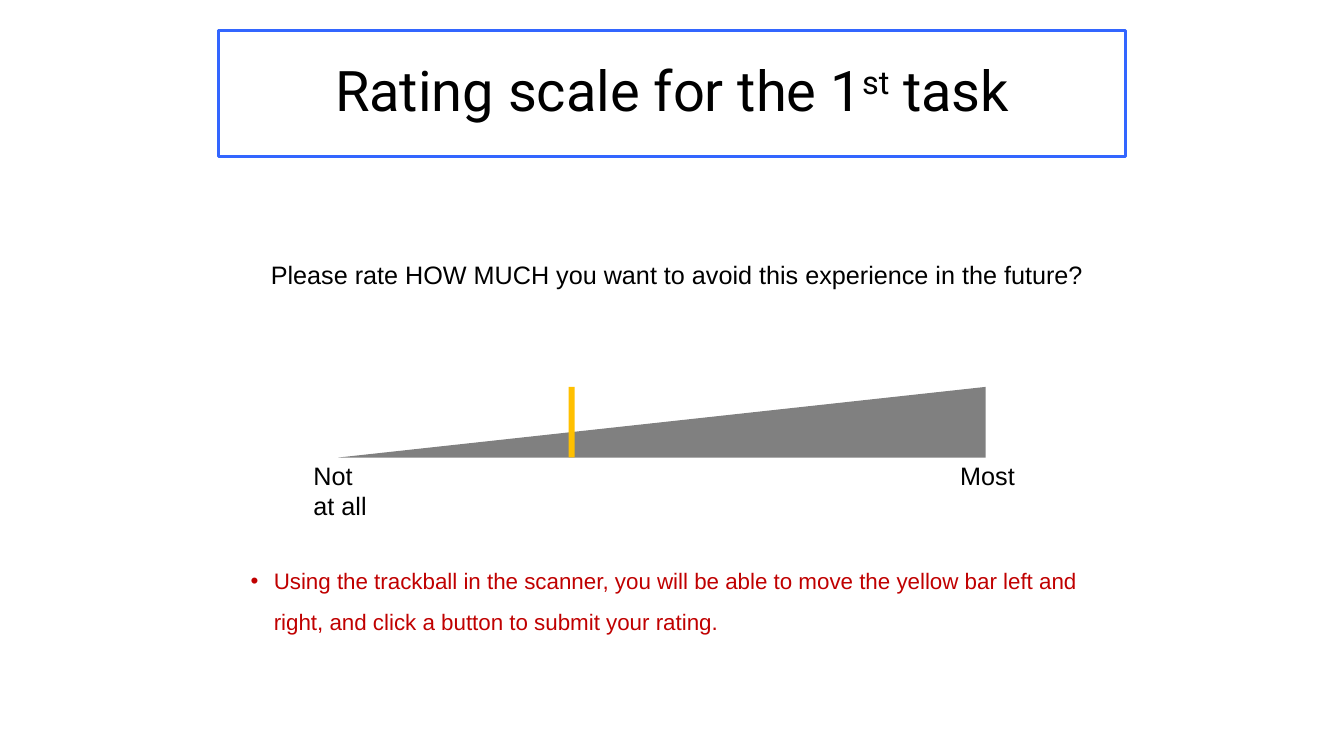
import pptx
import pptx.util
import pptx.dml.color
import pptx.enum.shapes
import pptx.enum.text
import pptx.oxml.ns
from lxml import etree

Cm = pptx.util.Cm
SHAPE = pptx.enum.shapes.MSO_SHAPE
ALIGN = pptx.enum.text.PP_ALIGN
ANCHOR = pptx.enum.text.MSO_ANCHOR
qn = pptx.oxml.ns.qn

COLORS = {
    "text": "000000",
    "frame": "3366FF",
    "wedge": "808080",
    "marker": "FFC000",
    "note": "C00000",
}
SCALE_TOP, SCALE_HEIGHT = 9.75, 1.78
LABEL_TOP = 11.48


def rgb(name):
    """Return the named colour."""
    return pptx.dml.color.RGBColor.from_string(COLORS[name])


def add_run(p, text, size=18, font="Arial", color="text", baseline=None):
    """Add a formatted run to a paragraph."""
    r = p.add_run()
    r.text = text
    r.font.size = pptx.util.Pt(size)
    r.font.name = font
    r.font.color.rgb = rgb(color)
    if baseline:
        r._r.get_or_add_rPr().set("baseline", str(baseline * 1000))


def add_box(s, kind, left, top, width, height, fill=None, line=None):
    """Add a preset shape with plain fill and outline."""
    sp = s.shapes.add_shape(kind, Cm(left), Cm(top), Cm(width), Cm(height))
    sp.shadow.inherit = False
    if fill:
        sp.fill.solid()
        sp.fill.fore_color.rgb = rgb(fill)
    else:
        sp.fill.background()
    if line:
        sp.line.color.rgb = rgb(line)
        sp.line.width = pptx.util.Pt(2.25)
    else:
        sp.line.fill.background()
    return sp


def add_label(s, lines, left, top, width, height, align=ALIGN.LEFT, wrap=False):
    """Add a text box with one paragraph per line."""
    tf = s.shapes.add_textbox(Cm(left), Cm(top), Cm(width), Cm(height)).text_frame
    tf.word_wrap = wrap
    for i, text in enumerate(lines):
        p = tf.add_paragraph() if i else tf.paragraphs[0]
        p.alignment = align
        add_run(p, text)


def add_title(s):
    """Add the framed slide title."""
    sp = add_box(s, SHAPE.RECTANGLE, 5.51, 0.76, 22.86, 3.18, line="frame")
    tf = sp.text_frame
    tf.word_wrap = True
    tf.vertical_anchor = ANCHOR.MIDDLE
    p = tf.paragraphs[0]
    p.alignment = ALIGN.CENTER
    p.line_spacing = 0.9
    for text, baseline in (("Rating scale for the 1", None), ("st", 30), (" task", None)):
        add_run(p, text, size=40, font="Roboto", baseline=baseline)


def add_scale(s):
    """Add the rating wedge, its end labels and the marker bar."""
    wedge = add_box(s, SHAPE.RIGHT_TRIANGLE, 8.53, SCALE_TOP, 16.31, SCALE_HEIGHT, fill="wedge")
    wedge.element.spPr.find(qn("a:xfrm")).set("flipH", "1")
    add_label(s, ["Not", "at all"], 7.65, LABEL_TOP, 1.85, 1.8)
    add_label(s, ["Most"], 23.95, LABEL_TOP, 1.96, 1.02)
    add_box(s, SHAPE.RECTANGLE, 14.33, SCALE_TOP, 0.15, SCALE_HEIGHT, fill="marker")


def add_bullet(s, text, left, top, width, height):
    """Add a bulleted note with a hanging indent."""
    tf = s.shapes.add_textbox(Cm(left), Cm(top), Cm(width), Cm(height)).text_frame
    tf.word_wrap = True
    p = tf.paragraphs[0]
    pPr = p._p.get_or_add_pPr()
    pPr.set("marL", str(Cm(0.58)))
    pPr.set("indent", str(-Cm(0.58)))
    etree.SubElement(pPr, qn("a:buFont")).set("typeface", "Arial")
    etree.SubElement(pPr, qn("a:buChar")).set("char", "•")
    p.line_spacing = 1.5
    add_run(p, text, size=16, color="note")


def main():
    """Build and save the slide."""
    prs = pptx.Presentation()
    prs.slide_width, prs.slide_height = Cm(33.87), Cm(19.05)
    s = prs.slides.add_slide(prs.slide_layouts[6])
    add_title(s)
    add_label(
        s,
        ["Please rate HOW MUCH you want to avoid this experience in the future?"],
        6.43, 6.4, 21.26, 1.02, align=ALIGN.CENTER,
    )
    add_scale(s)
    add_bullet(
        s,
        "Using the trackball in the scanner, you will be able to move the yellow bar "
        "left and right, and click a button to submit your rating.",
        6.07, 13.84, 22.38, 2.18,
    )
    prs.save("out.pptx")


if __name__ == "__main__":
    main()
